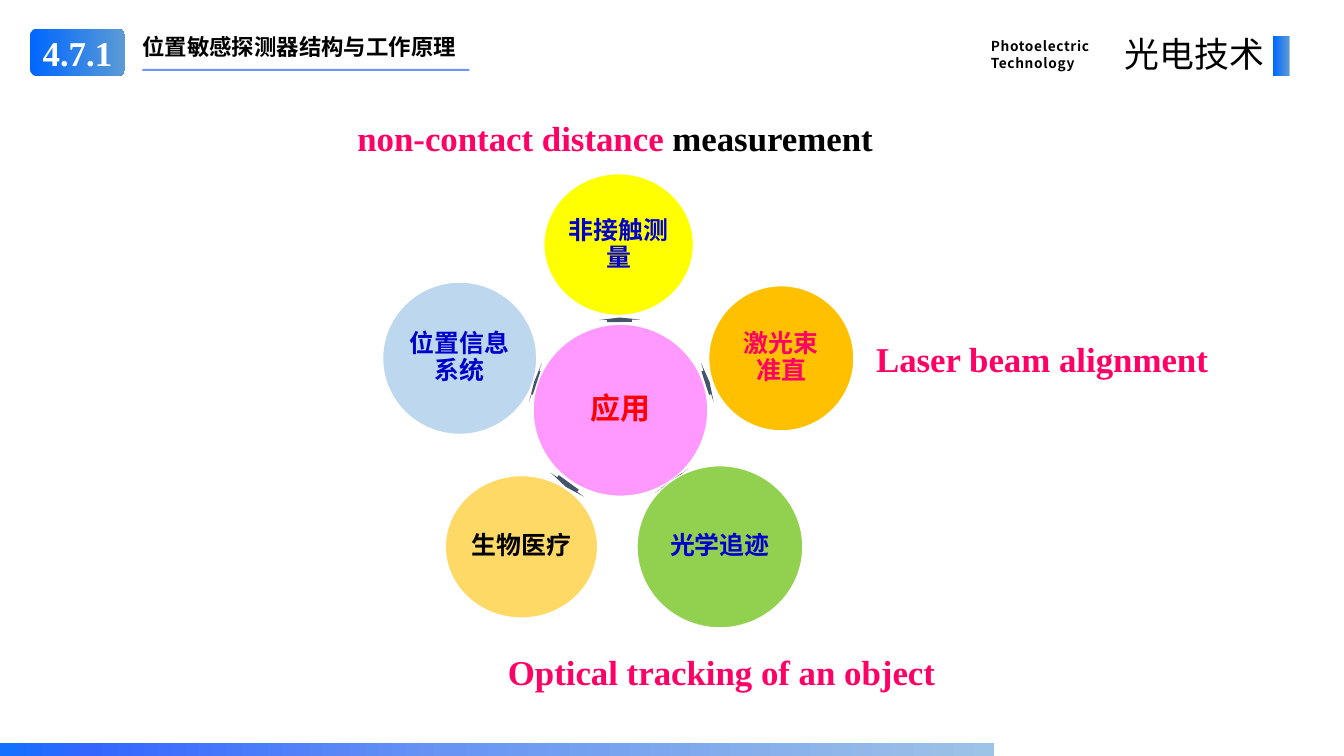
from lxml.etree import SubElement
from pptx import Presentation
from pptx.dml.color import RGBColor
from pptx.enum.shapes import MSO_CONNECTOR as Connector, MSO_SHAPE as Shape
from pptx.enum.text import MSO_ANCHOR as Anchor, MSO_AUTO_SIZE as AutoSize, PP_ALIGN as Align
from pptx.oxml.ns import qn
from pptx.util import Inches, Pt

BLACK = RGBColor(0x00, 0x00, 0x00)
WHITE = RGBColor(0xFF, 0xFF, 0xFF)
RED = RGBColor(0xFF, 0x00, 0x00)
ROSE = RGBColor(0xFF, 0x00, 0x66)
NAVY = RGBColor(0x00, 0x00, 0xCC)
PINK = RGBColor(0xFF, 0x99, 0xFF)
YELLOW = RGBColor(0xFF, 0xFF, 0x00)
ORANGE = RGBColor(0xFF, 0xC0, 0x00)
GREEN = RGBColor(0x92, 0xD0, 0x50)
SAND = RGBColor(0xFF, 0xD9, 0x66)
PALE_BLUE = RGBColor(0xBD, 0xD7, 0xEE)
SLATE = RGBColor(0x44, 0x54, 0x6A)
RULE_BLUE = RGBColor(0x33, 0x66, 0xFF)
BADGE_FADE = [(0, RGBColor(0x00, 0x66, 0xFF)), (100, RGBColor(0x5B, 0x9B, 0xD5))]
FOOTER_FADE = [(0, RGBColor(0x12, 0x71, 0xFE)), (9, RULE_BLUE),
               (45, RGBColor(0x68, 0x95, 0xF3)), (100, RGBColor(0x9D, 0xC3, 0xE6))]
LATIN = "Times New Roman"
CHINESE = "Noto Sans CJK SC"


def write(paragraph, text, size=28, color=BLACK, font=LATIN, bold=True, spacing=0):
    run = paragraph.add_run()
    run.text = text
    run.font.size = Pt(size)
    run.font.bold = bold
    run.font.color.rgb = color
    run.font.name = font
    properties = run.font._element
    SubElement(properties, qn("a:ea"), typeface=font)
    if spacing:
        properties.set("spc", str(round(spacing * 100)))


class Deck:
    def __init__(self, slide):
        self.shapes = slide.shapes

    def label(self, box, lines, align=Align.LEFT, leading=None, **style):
        frame = self.shapes.add_textbox(*map(Inches, box)).text_frame
        frame.word_wrap = True
        frame.auto_size = AutoSize.SHAPE_TO_FIT_TEXT
        for index, runs in enumerate(lines):
            paragraph = frame.add_paragraph() if index else frame.paragraphs[0]
            paragraph.alignment = align
            if leading:
                paragraph.line_spacing = leading
            for text, color in runs:
                write(paragraph, text, color=color, **style)

    def block(self, kind, box, fill):
        shape = self.shapes.add_shape(kind, *map(Inches, box))
        shape.shadow.inherit = False
        shape.line.fill.background()
        if isinstance(fill, RGBColor):
            shape.fill.solid()
            shape.fill.fore_color.rgb = fill
        else:
            self.fade(shape, fill)
        return shape

    def fade(self, shape, stops):
        shape.fill.gradient()
        shape.fill.gradient_angle = 0
        stop_list = shape.element.spPr.find(".//" + qn("a:gsLst"))
        stop_list.clear()
        for position, color in stops:
            stop = SubElement(stop_list, qn("a:gs"), pos=str(position * 1000))
            SubElement(stop, qn("a:srgbClr"), val=str(color))

    def caption(self, shape, text, inset, leading=None, **style):
        frame = shape.text_frame
        frame.word_wrap = True
        frame.vertical_anchor = Anchor.MIDDLE
        frame.margin_left = frame.margin_right = Inches(inset)
        frame.margin_top = frame.margin_bottom = Inches(inset)
        paragraph = frame.paragraphs[0]
        paragraph.alignment = Align.CENTER
        if leading:
            paragraph.line_spacing = leading
        write(paragraph, text, **style)

    def circle(self, box, fill, text, color, size=20):
        shape = self.block(Shape.OVAL, box, fill)
        shape.line.color.rgb = WHITE
        shape.line.width = Pt(1)
        self.caption(shape, text, 0.03, leading=0.9, size=size, color=color, font=CHINESE)

    def arrow(self, box, angle):
        shape = self.block(Shape.RIGHT_ARROW, box, SLATE)
        shape.adjustments[0] = 0.6
        shape.adjustments[1] = 0.5
        shape.rotation = angle

    def rule(self, left, right, top, color, opacity):
        line = self.shapes.add_connector(
            Connector.STRAIGHT, Inches(left), Inches(top), Inches(right), Inches(top))
        line.line.color.rgb = color
        line.line.width = Pt(1.5)
        properties = line.element.spPr
        tint = properties.find(".//" + qn("a:srgbClr"))
        SubElement(tint, qn("a:alpha"), val=str(opacity * 1000))
        SubElement(properties, qn("a:effectLst"))


def main():
    presentation = Presentation()
    presentation.slide_width = Inches(15)
    presentation.slide_height = Inches(8.44)
    deck = Deck(presentation.slides.add_slide(presentation.slide_layouts[6]))

    deck.label((3.89, 1.25, 6.27, 0.57),
               [[("non-contact distance ", ROSE), ("measurement", BLACK)]])
    deck.label((9.68, 3.72, 4.23, 0.6), [[("Laser beam alignment", ROSE)]])
    deck.label((5.57, 7.21, 5.25, 0.6), [[("Optical tracking of an object", ROSE)]])

    deck.circle((5.95, 3.62, 1.95, 1.92), PINK, "应用", RED, size=24)
    applications = [
        ((6.89, 3.34, 0.05, 0.46), 269.3, (6.07, 1.94, 1.67, 1.58), YELLOW, "非接触测量", NAVY),
        ((7.87, 4.04, 0.05, 0.46), 342, (7.91, 3.19, 1.62, 1.62), ORANGE, "激光束准直", ROSE),
        ((7.49, 5.14, 0.01, 0.46), 54, (7.11, 5.2, 1.85, 1.81), GREEN, "光学追迹", NAVY),
        ((6.3, 5.18, 0.06, 0.46), 126, (4.97, 5.31, 1.7, 1.59), SAND, "生物医疗", BLACK),
        ((5.96, 4.04, 0.03, 0.46), 198, (4.27, 3.15, 1.72, 1.7), PALE_BLUE, "位置信息系统", NAVY),
    ]
    for arrow_box, angle, circle_box, fill, name, color in applications:
        deck.arrow(arrow_box, angle)
        deck.circle(circle_box, fill, name, color)

    deck.label((1.49, 0.32, 3.9, 0.4), [[("位置敏感探测器结构与工作原理", BLACK)]],
               size=18, font=CHINESE)
    deck.label((10.96, 0.36, 1.58, 0.49), [[("Photoelectric", BLACK)], [("Technology", BLACK)]],
               leading=Pt(14), size=11, font=CHINESE, spacing=0.5)
    deck.block(Shape.RECTANGLE, (14.21, 0.4, 0.18, 0.45), BADGE_FADE)
    section = deck.block(Shape.ROUNDED_RECTANGLE, (0.33, 0.32, 1.07, 0.53), BADGE_FADE)
    deck.caption(section, "4.7.1", 0.05, color=WHITE)
    deck.rule(1.59, 5.24, 0.78, RULE_BLUE, 70)
    deck.label((12.31, 0.32, 1.9, 0.57), [[("光电技术", BLACK)]], align=Align.RIGHT,
               font=CHINESE, bold=False, spacing=0.2)
    deck.block(Shape.RECTANGLE, (0, 8.3, 11.09, 0.14), FOOTER_FADE)

    presentation.save("out.pptx")


if __name__ == "__main__":
    main()
